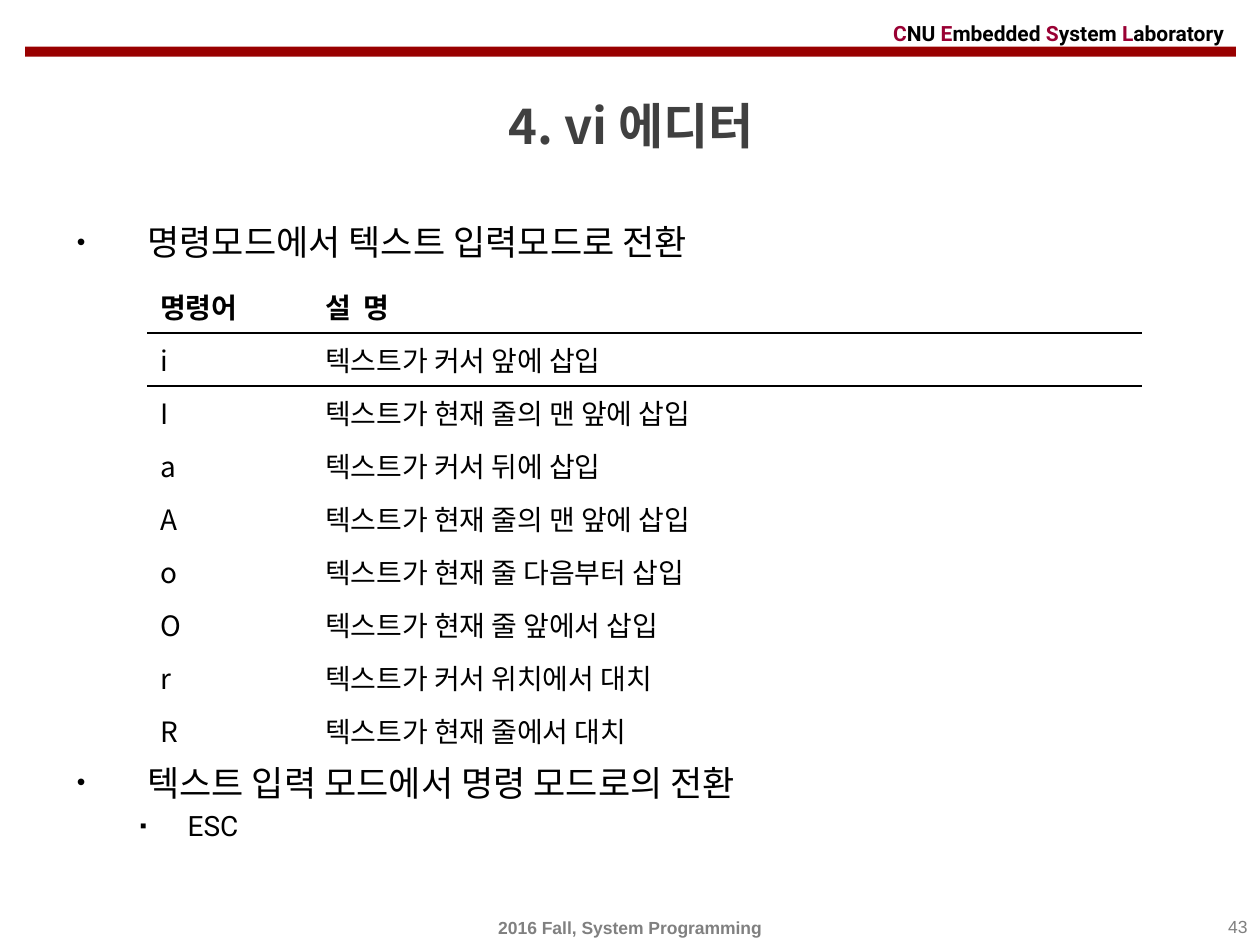
from lxml import etree
from pptx import Presentation
from pptx.dml.color import RGBColor
from pptx.enum.shapes import MSO_SHAPE
from pptx.enum.text import MSO_ANCHOR, MSO_AUTO_SIZE, PP_ALIGN
from pptx.oxml.ns import qn
from pptx.util import Inches, Pt

BLACK = RGBColor(0x00, 0x00, 0x00)
DARK = RGBColor(0x40, 0x40, 0x40)
GRAY = RGBColor(0x80, 0x80, 0x80)
RED = RGBColor(0x99, 0x00, 0x00)
WINE = RGBColor(0x99, 0x00, 0x33)
SANS, CJK, ARIAL = "Roboto", "Noto Sans CJK KR", "Arial"
LEFT, CENTER, RIGHT = PP_ALIGN.LEFT, PP_ALIGN.CENTER, PP_ALIGN.RIGHT
TOP, MIDDLE = MSO_ANCHOR.TOP, MSO_ANCHOR.MIDDLE
RECT = MSO_SHAPE.RECTANGLE
NO_FIT = MSO_AUTO_SIZE.NONE
PLAIN_STYLE = "{2D5ABB26-0587-4C30-8999-92F81FD0307C}"

LAB = ["CNU ", "Embedded ", "System ", "Laboratory"]
ROWS = [
    ("명령어", "설  명"),
    ("i", "텍스트가 커서 앞에 삽입"),
    ("I", "텍스트가 현재 줄의 맨 앞에 삽입"),
    ("a", "텍스트가 커서 뒤에 삽입"),
    ("A", "텍스트가 현재 줄의 맨 앞에 삽입"),
    ("o", "텍스트가 현재 줄 다음부터 삽입"),
    ("O", "텍스트가 현재 줄 앞에서 삽입"),
    ("r", "텍스트가 커서 위치에서 대치"),
    ("R", "텍스트가 현재 줄에서 대치"),
]
RULED = 2  # rows with a line below


def write(para, text, size=16, font=CJK, color=BLACK, bold=False, align=LEFT):
    para.alignment = align
    run = para.add_run()
    run.text = text
    run.font.size = Pt(size)
    run.font.name = font
    run.font.bold = bold
    run.font.color.rgb = color
    east = etree.SubElement(run._r.get_or_add_rPr(), qn("a:ea"))
    east.set("typeface", CJK)


def place(shape, x, y, w, h):
    shape.left, shape.top = Inches(x), Inches(y)
    shape.width, shape.height = Inches(w), Inches(h)


def frame(shape, anchor=TOP, wrap=True):
    text = shape.text_frame
    text.auto_size = NO_FIT
    text.word_wrap = wrap
    text.vertical_anchor = anchor
    return text


def add_box(slide, x, y, w, h, **opts):
    box = slide.shapes.add_textbox(Inches(x), Inches(y), Inches(w), Inches(h))
    return frame(box, **opts).paragraphs[0]


def add_bar(slide, x, y, w, h):
    bar = slide.shapes.add_shape(RECT, Inches(x), Inches(y), Inches(w), Inches(h))
    bar.shadow.inherit = False
    bar.fill.solid()
    bar.fill.fore_color.rgb = RED
    bar.line.fill.background()


def add_head(slide):
    add_bar(slide, 0.2, 0.37, 9.61, 0.08)
    para = add_box(slide, 6.99, 0.12, 3.03, 0.28, anchor=MIDDLE, wrap=False)
    for word in LAB:
        write(para, word[0], size=12, font=SANS, color=WINE, bold=True)
        write(para, word[1:], size=12, font=SANS, bold=True)


def add_title(slide, text):
    title = slide.shapes.title
    place(title, 0.21, 0.6, 9.6, 0.79)
    write(frame(title, MIDDLE).paragraphs[0], text, size=28, color=DARK,
          bold=True, align=CENTER)


def set_bullet(para, mark, left, hang):
    props = para._p.get_or_add_pPr()
    props.set("marL", str(Inches(left)))
    props.set("indent", str(-Inches(hang)))
    for tag, name, value in (("buSzPct", "val", "70000"),
                             ("buFont", "typeface", ARIAL),
                             ("buChar", "char", mark)):
        etree.SubElement(props, qn("a:" + tag)).set(name, value)


def add_item(para, text, level=0, gap=None):
    para.level = level
    if gap:
        para.space_before = Pt(gap)
    mark, left, hang, size = [("•", 0.56, 0.56, 20), ("▪", 0.88, 0.38, 16)][level]
    set_bullet(para, mark, left, hang)
    write(para, text, size=size, font=SANS)


def add_list(slide):
    body = slide.placeholders[1]
    place(body, 0.51, 1.7, 9.06, 5.28)
    text = frame(body)
    add_item(text.paragraphs[0], "명령모드에서 텍스트 입력모드로 전환")
    # The gap clears the full height of the table
    add_item(text.add_paragraph(), "텍스트 입력 모드에서 명령 모드로의 전환", gap=285)
    add_item(text.add_paragraph(), "ESC", level=1)


def rule_below(cell):
    line = etree.Element(qn("a:lnB"), w=str(Pt(1.5)))
    fill = etree.SubElement(line, qn("a:solidFill"))
    etree.SubElement(fill, qn("a:srgbClr"), val=str(BLACK))
    cell._tc.get_or_add_tcPr().insert(0, line)


def add_table(slide):
    shape = slide.shapes.add_table(len(ROWS), 2, Inches(1.17), Inches(2.22),
                                   Inches(7.89), Inches(3.3))
    table = shape.table
    table.horz_banding = False
    table._tbl.tblPr.find(qn("a:tableStyleId")).text = PLAIN_STYLE
    for col, width in zip(table.columns, (1.31, 6.58)):
        col.width = Inches(width)
    for r, row in enumerate(ROWS):
        for c, text in enumerate(row):
            cell = table.cell(r, c)
            cell.fill.background()
            write(cell.text_frame.paragraphs[0], text, bold=r == 0)
            if r < RULED:
                rule_below(cell)


def add_foot(slide):
    write(add_box(slide, 0, 7.22, 10, 0.28, anchor=MIDDLE),
          "2016 Fall, System Programming", size=10, font=ARIAL, color=GRAY,
          bold=True, align=CENTER)
    write(add_box(slide, 7.67, 7.22, 2.33, 0.28), "43", size=10, font=ARIAL,
          color=GRAY, align=RIGHT)


def main():
    deck = Presentation()
    deck.slide_width, deck.slide_height = Inches(10), Inches(7.5)
    slide = deck.slides.add_slide(deck.slide_layouts[1])
    add_head(slide)
    add_title(slide, "4. vi 에디터")
    add_list(slide)
    add_table(slide)
    add_foot(slide)
    deck.save("out.pptx")


if __name__ == "__main__":
    main()
